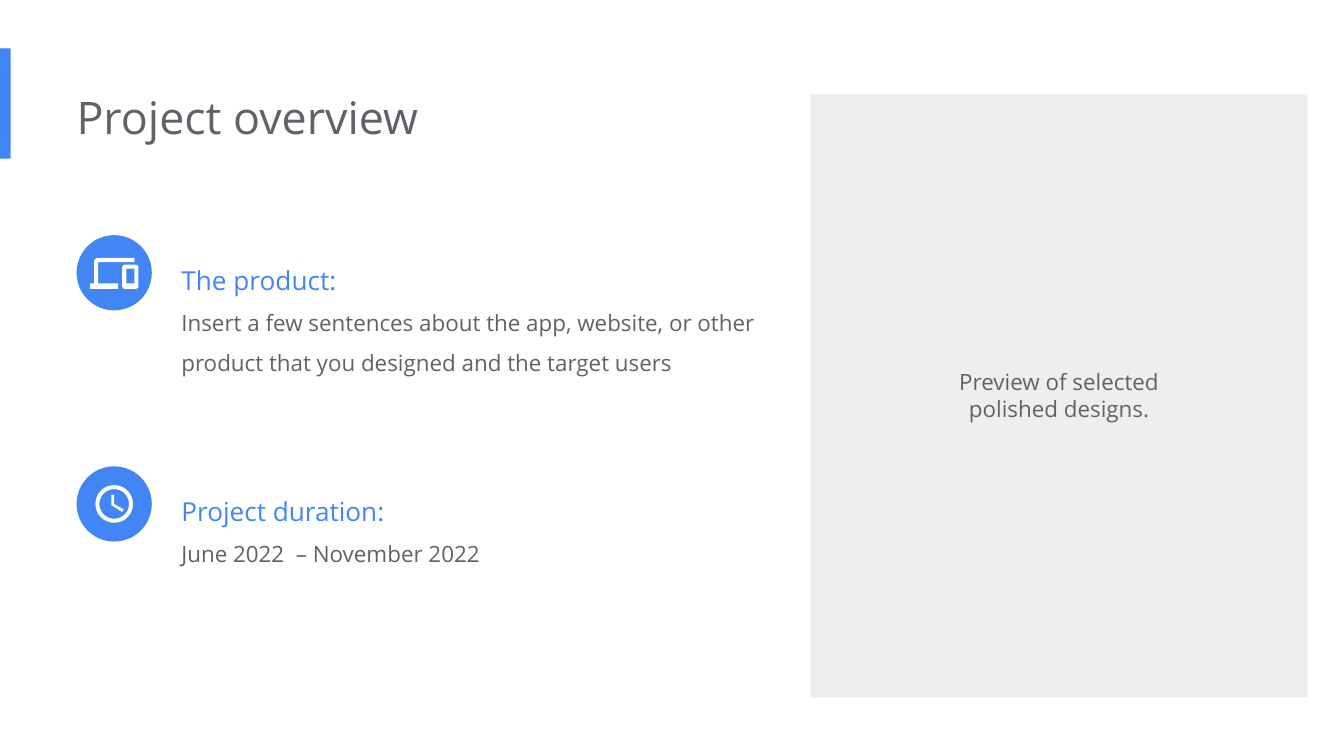
from dataclasses import dataclass
from math import cos, radians, sin

from pptx import Presentation
from pptx import util as u
from pptx.dml.color import RGBColor
from pptx.enum import shapes, text


@dataclass(frozen=True)
class Theme:
    """Colours, font and type sizes of the deck."""
    blue: str = "4285F4"
    grey: str = "5F6368"
    panel: str = "EEEEEE"
    white: str = "FFFFFF"
    font: str = "Open Sans"
    title: int = 24
    heading: int = 14
    body: int = 12


THEME = Theme()


def arc(center_x, center_y, radius, start=0, end=360, steps=48):
    """Return points along an arc, with angles in degrees clockwise."""
    angles = [radians(start + (end - start) * i / steps) for i in range(steps + 1)]
    return [(center_x + radius * cos(a), center_y + radius * sin(a)) for a in angles]


def rounded(left, top, right, bottom, radius):
    """Return the outline of a rectangle with rounded corners."""
    corners = [(right - radius, bottom - radius), (left + radius, bottom - radius),
               (left + radius, top + radius), (right - radius, top + radius)]
    return [point for i, (x, y) in enumerate(corners)
            for point in arc(x, y, radius, 90 * i, 90 * i + 90, 6)]


DEVICES = [
    [(0.16, 0.20), (0.43, 0.20), (0.43, 0.17), *arc(0.16, 0.20, 0.03, 270, 180, 6),
     (0.13, 0.36), (0.10, 0.36), (0.10, 0.40), (0.31, 0.40), (0.31, 0.36), (0.16, 0.36)],
    rounded(0.34, 0.22, 0.46, 0.40, 0.02),
    [(0.37, 0.25), (0.43, 0.25), (0.43, 0.36), (0.37, 0.36)],
]
CLOCK = [
    arc(0.28, 0.28, 0.14),
    arc(0.28, 0.28, 0.11),
    [(0.26, 0.21), (0.26, 0.29), (0.34, 0.34), (0.35, 0.32), (0.28, 0.28), (0.28, 0.21)],
]


def paint(shape, colour):
    """Give a shape a plain fill without line or shadow."""
    shape.fill.solid()
    shape.fill.fore_color.rgb = RGBColor.from_string(colour)
    shape.line.fill.background()
    shape.shadow.inherit = False


def add_plain(page, kind, box, colour):
    """Place a flat preset shape in a box."""
    paint(page.shapes.add_shape(kind, *map(u.Inches, box)), colour)


def add_text(page, box, *lines, left_inset=0, spacing=None, align=text.PP_ALIGN.LEFT):
    """Write lines of (wording, size, colour) as paragraphs in a box."""
    frame = page.shapes.add_textbox(*map(u.Inches, box)).text_frame
    frame.word_wrap = True
    frame.margin_left = u.Inches(left_inset)
    frame.margin_right = frame.margin_top = frame.margin_bottom = u.Inches(0.1)
    for i, (wording, size, colour) in enumerate(lines):
        para = frame.add_paragraph() if i else frame.paragraphs[0]
        para.alignment = align
        para.line_spacing = spacing
        span = para.add_run()
        span.text = wording
        span.font.name = THEME.font
        span.font.size = u.Pt(size)
        span.font.color.rgb = RGBColor.from_string(colour)


def add_icon(page, left, top, outlines):
    """Draw white outlines as one freeform, measured from a corner."""
    contours = [[(u.Inches(left + x), u.Inches(top + y)) for x, y in outline]
                for outline in outlines]
    builder = page.shapes.build_freeform(*contours[0][0])
    for i, contour in enumerate(contours):
        if i:
            builder.move_to(*contour[0])
        builder.add_line_segments(contour[1:], close=True)
    paint(builder.convert_to_shape(), THEME.white)


def add_header(page, box):
    """Place the accent bar and the slide title."""
    left, top, width, height = box
    add_plain(page, shapes.MSO_SHAPE.RECTANGLE, (left, top, 0.08, height), THEME.blue)
    add_text(page, (left + 0.57, top + 0.21, width - 0.57, 0.61),
             ("Project overview", THEME.title, THEME.grey))


def add_fact(page, box, icon, heading, body):
    """Place a round icon badge with a heading and a body beside it."""
    left, top, width, height = box
    add_plain(page, shapes.MSO_SHAPE.OVAL, (left, top, 0.56, 0.56), THEME.blue)
    add_icon(page, left, top, icon)
    add_text(page, (left + 0.78, top, width - 0.78, height),
             (heading, THEME.heading, THEME.blue), (body, THEME.body, THEME.grey),
             spacing=1.5)


def add_preview(page, box):
    """Place the preview panel with its caption in the middle."""
    left, top, width, height = box
    add_plain(page, shapes.MSO_SHAPE.RECTANGLE, box, THEME.panel)
    caption_width, caption_height = 1.98, 0.61
    add_text(page, (left + (width - caption_width) / 2,
                    top + (height - caption_height) / 2, caption_width, caption_height),
             ("Preview of selected polished designs.", THEME.body, THEME.grey),
             left_inset=0.1, align=text.PP_ALIGN.CENTER)


def main():
    """Build the project overview slide."""
    deck = Presentation()
    deck.slide_width = u.Inches(10)
    deck.slide_height = u.Inches(10 * 9 / 16)
    page = deck.slides.add_slide(deck.slide_layouts[6])
    add_preview(page, (6.03, 0.7, 3.7, 4.49))
    add_header(page, (0, 0.36, 7.3, 0.82))
    add_fact(page, (0.57, 1.75, 5.25, 1.06), DEVICES, "The product:",
             "Insert a few sentences about the app, website, or other "
             "product that you designed and the target users")
    add_fact(page, (0.57, 3.47, 4.55, 0.86), CLOCK, "Project duration:",
             "June 2022  – November 2022")
    deck.save("out.pptx")


if __name__ == "__main__":
    main()
